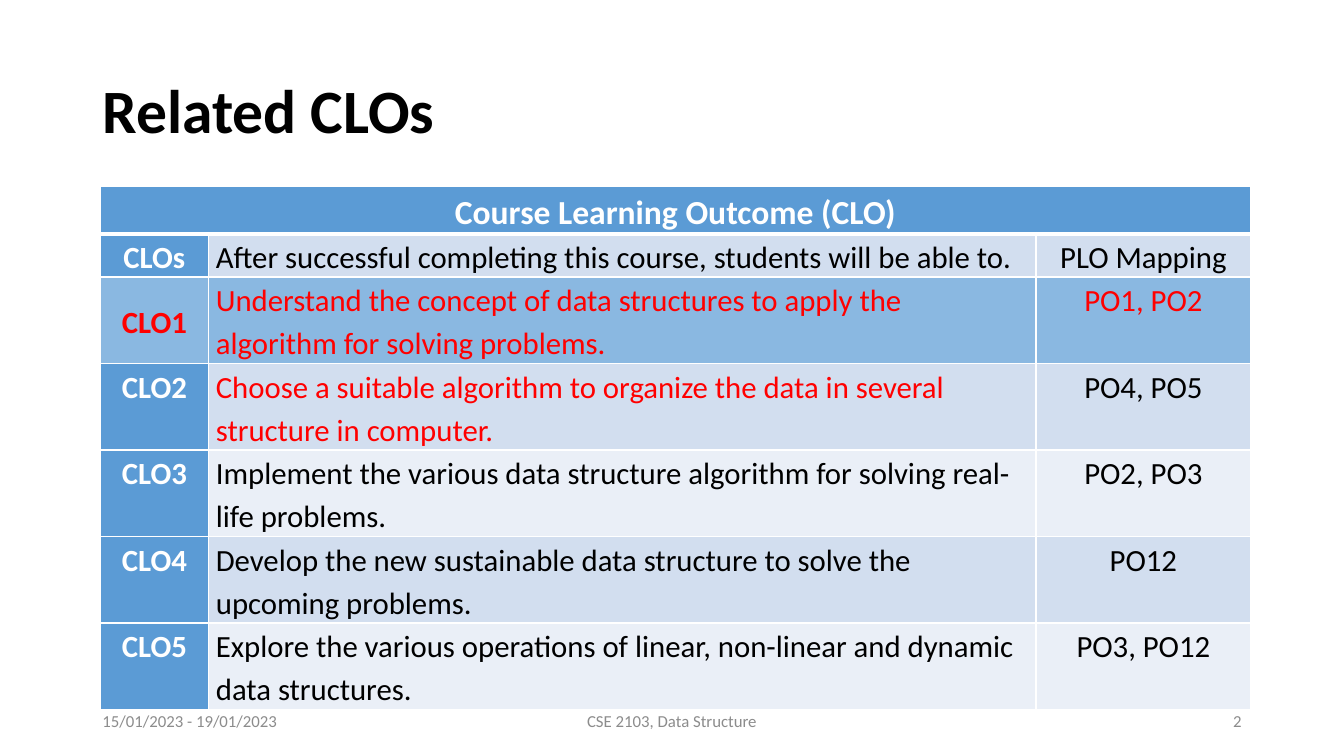
from lxml import etree
from pptx import Presentation
from pptx import util as u
from pptx.dml import color
from pptx.enum import text
from pptx.oxml import ns


class Theme:
    font = "Calibri"
    black, white, red, gray = "000000", "FFFFFF", "FF0000", "8C8C8C"
    blue, pale, light = "5B9BD5", "D2DEEF", "EAEFF7"
    title, head, body, foot = 44, 24, 22, 12
    alpha = 71


LEFT, MID, RIGHT = text.PP_ALIGN.LEFT, text.PP_ALIGN.CENTER, text.PP_ALIGN.RIGHT


def write(frame, words, size, ink, align=LEFT, bold=False, space=1.0):
    par = frame.paragraphs[0]
    par.alignment = align
    par.line_spacing = space
    run = par.add_run()
    run.text = words
    run.font.name = Theme.font
    run.font.size = u.Pt(size)
    run.font.bold = bold
    run.font.color.rgb = color.RGBColor.from_string(ink)


def style(cell, fill, base=1):
    cell.margin_left = cell.margin_right = u.Cm(0.18)
    cell.margin_top = cell.margin_bottom = 0
    props = cell._tc.get_or_add_tcPr()
    for side in "LRTB":
        width = u.Pt(base if side == "B" else 1)
        line = etree.SubElement(props, ns.qn("a:ln" + side), w=str(width))
        solid = etree.SubElement(line, ns.qn("a:solidFill"))
        etree.SubElement(solid, ns.qn("a:srgbClr"), val=Theme.white)
    cell.fill.solid()
    cell.fill.fore_color.rgb = color.RGBColor.from_string(fill)


deck = Presentation()
deck.slide_width, deck.slide_height = u.Cm(33.87), u.Cm(19.05)
slide = deck.slides.add_slide(deck.slide_layouts[5])

title = slide.shapes.title
title.left, title.top = u.Cm(2.33), u.Cm(1.02)
title.width, title.height = u.Cm(29.21), u.Cm(3.68)
title.text_frame.auto_size = text.MSO_AUTO_SIZE.NONE
title.text_frame.vertical_anchor = text.MSO_ANCHOR.MIDDLE
write(title.text_frame, "Related CLOs", Theme.title, Theme.black, bold=True, space=0.9)

rows = [
    ("CLOs", "After successful completing this course, students will be able to.", "PLO Mapping"),
    ("CLO1", "Understand the concept of data structures to apply the algorithm for solving problems.", "PO1, PO2"),
    ("CLO2", "Choose a suitable algorithm to organize the data in several structure in computer.", "PO4, PO5"),
    ("CLO3", "Implement the various data structure algorithm for solving real-life problems.", "PO2, PO3"),
    ("CLO4", "Develop the new sustainable data structure to solve the upcoming problems.", "PO12"),
    ("CLO5", "Explore the various operations of linear, non-linear and dynamic data structures.", "PO3, PO12"),
]
widths = [2.74, 20.85, 5.41]
heights = [1.18, 1.09] + [2.18] * 5
table = slide.shapes.add_table(
    len(heights), len(widths), u.Cm(2.52), u.Cm(4.7), u.Cm(sum(widths)), u.Cm(sum(heights))
).table
for col, width in zip(table.columns, widths):
    col.width = u.Cm(width)
for row, height in zip(table.rows, heights):
    row.height = u.Cm(height)

for cell in table.rows[0].cells:
    style(cell, Theme.blue, base=3)
banner = table.cell(0, 0)
banner.merge(table.cell(0, 2))
write(banner.text_frame, "Course Learning Outcome (CLO)", Theme.head, Theme.white, MID, True, 1.15)

for r, row in enumerate(rows, 1):
    focus = row[0] == "CLO1"
    for c, words in enumerate(row):
        cell = table.cell(r, c)
        band = Theme.pale if r % 2 else Theme.light
        style(cell, Theme.blue if focus or c == 0 else band)
        if focus:
            tint = cell._tc.tcPr.find(ns.qn("a:solidFill"))[0]
            etree.SubElement(tint, ns.qn("a:alpha"), val=str(Theme.alpha * 1000))
        if (r == 1 and c < 2) or (focus and c == 0):
            cell.vertical_anchor = text.MSO_ANCHOR.MIDDLE
        ink = Theme.white if c == 0 else Theme.black
        if focus or (row[0] == "CLO2" and c == 1):
            ink = Theme.red
        write(cell.text_frame, words, Theme.body, ink, LEFT if c == 1 else MID, c == 0, 1.15)

for words, left, width, align in [
    ("15/01/2023 - 19/01/2023", 2.33, 7.62, LEFT),
    ("CSE 2103, Data Structure", 11.22, 11.43, MID),
    ("2", 23.92, 7.62, RIGHT),
]:
    foot = slide.shapes.add_textbox(u.Cm(left), u.Cm(17.65), u.Cm(width), u.Cm(1.01))
    foot.text_frame.word_wrap = True
    foot.text_frame.vertical_anchor = text.MSO_ANCHOR.MIDDLE
    write(foot.text_frame, words, Theme.foot, Theme.gray, align)

deck.save("out.pptx")
